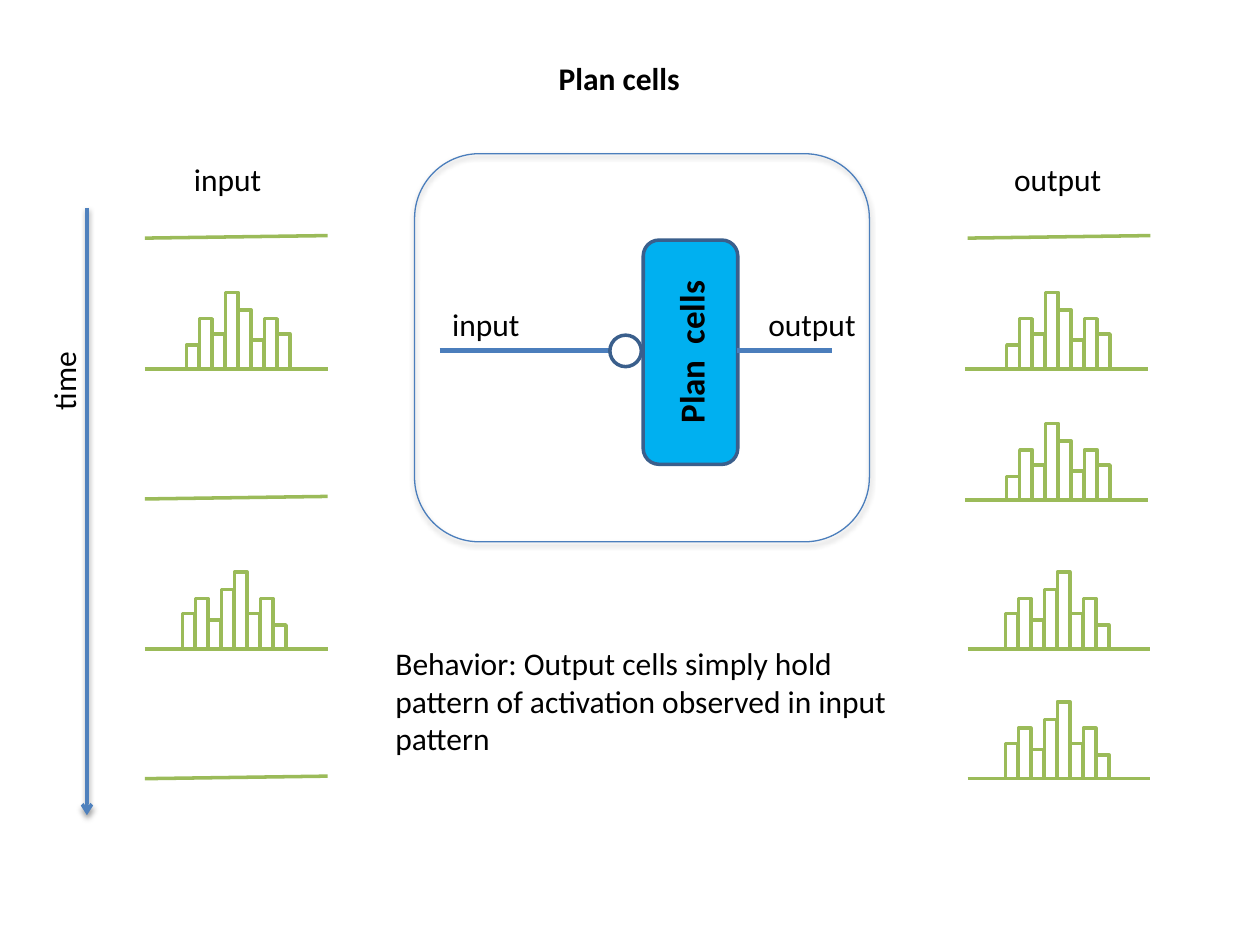
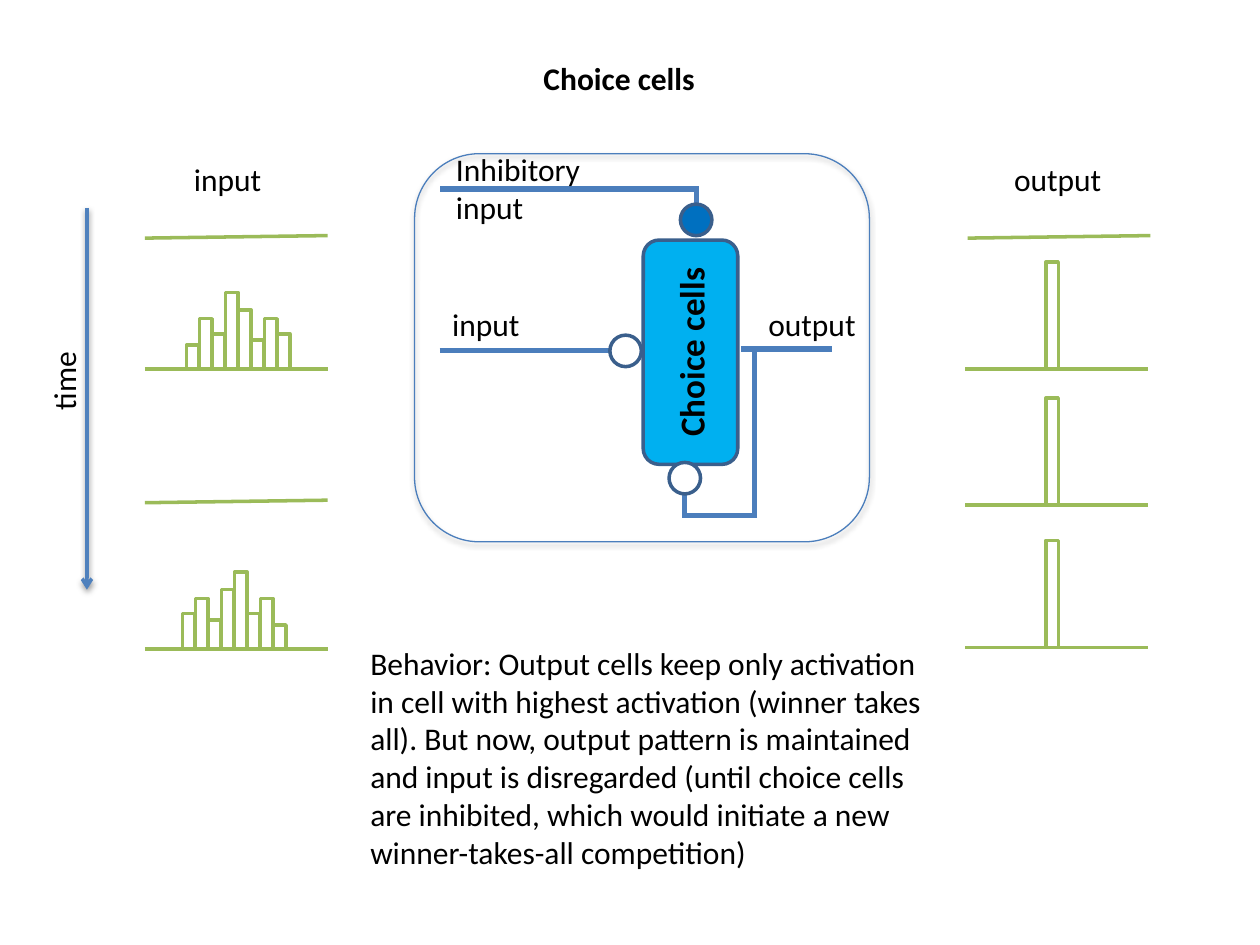
from lxml import etree
from pptx import Presentation
from pptx.dml.color import RGBColor
from pptx.enum.shapes import MSO_CONNECTOR, MSO_SHAPE
from pptx.enum.text import MSO_ANCHOR, MSO_AUTO_SIZE, PP_ALIGN
from pptx.oxml.ns import qn
from pptx.util import Inches, Pt

STRAIGHT = MSO_CONNECTOR.STRAIGHT
RECT, ROUND, OVAL = MSO_SHAPE.RECTANGLE, MSO_SHAPE.ROUNDED_RECTANGLE, MSO_SHAPE.OVAL
MIDDLE, CENTER = MSO_ANCHOR.MIDDLE, PP_ALIGN.CENTER
GROW = MSO_AUTO_SIZE.SHAPE_TO_FIT_TEXT

BLACK, WHITE, GREEN = "000000", "FFFFFF", "9BBB59"
WIRE, EDGE, AXIS = "4B7EBC", "3A5F8C", "4F81BD"
CELL, BLOCK = "00B0F0", "0070C0"

LABEL = {"name": "Calibri", "size": Pt(18), "bold": False}
TITLE = {**LABEL, "bold": True}
NAME = {**TITLE, "size": Pt(20)}

SPAN = 1.45            # length of a base line
STEP, BAR = 0.103, 0.1  # pitch and width of the bars
RISE = [0.19, 0.4, 0.28, 0.61, 0.47, 0.23, 0.4, 0.28]
FALL = RISE[::-1]
PEAK = [0.85]
LEFT, RIGHT, FAR = 1.15, 7.66, 7.68
WIRE_Y = 2.78


def rgb(code):
    return RGBColor.from_string(code)


def box(*sizes):
    return [Inches(size) for size in sizes]


def style(item, values):
    for key, value in values.items():
        setattr(item, key, value)


def shade(item, cast=None):
    """Replace the theme shadow by none, or by one of (blur, distance, alpha %)."""
    effects = etree.SubElement(item._element.spPr, qn("a:effectLst"))
    if cast:
        blur, dist, alpha = cast
        outer = etree.SubElement(effects, qn("a:outerShdw"), blurRad=str(Pt(blur)),
                                 dist=str(Pt(dist)), dir="5400000", rotWithShape="0")
        color = etree.SubElement(outer, qn("a:srgbClr"), val=BLACK)
        etree.SubElement(color, qn("a:alpha"), val=str(alpha * 1000))


def add_form(shapes, kind, place, fill, edge, width=2, cast=None):
    form = shapes.add_shape(kind, *box(*place))
    if fill:
        form.fill.solid()
        form.fill.fore_color.rgb = rgb(fill)
    else:
        form.fill.background()
    form.line.color.rgb = rgb(edge)
    form.line.width = Pt(width)
    shade(form, cast)
    return form


def add_line(shapes, start, end, color, width, cast=None):
    line = shapes.add_connector(STRAIGHT, *box(*start, *end))
    line.line.color.rgb = rgb(color)
    line.line.width = Pt(width)
    shade(line, cast)
    return line


def add_wire(slide, start, end):
    return add_line(slide.shapes, start, end, WIRE, 3)


def write(frame, text, look, align=None):
    para = frame.paragraphs[0]
    para.alignment = align
    run = para.add_run()
    run.text = text
    style(run.font, look)
    run.font.color.rgb = rgb(BLACK)


def add_label(slide, text, place, wrap=False, turn=0):
    label = slide.shapes.add_textbox(*box(*place))
    label.rotation = turn
    style(label.text_frame, {"word_wrap": wrap, "auto_size": GROW})
    write(label.text_frame, text, LABEL)


def add_bars(slide, left, base, bars, inset):
    """Draw a pattern of activation as bars on a base line."""
    shapes = slide.shapes.add_group_shape().shapes
    for i, high in enumerate(bars):
        place = (left + inset + i * STEP, base - high, BAR, high)
        add_form(shapes, RECT, place, WHITE, GREEN)
    add_line(shapes, (left, base), (left + SPAN, base), GREEN, 2)


def add_rest(slide, left, base):
    """Draw the nearly flat line of a cell at rest."""
    add_line(slide.shapes, (left, base), (left + SPAN, base - 0.02), GREEN, 2)


def add_knob(slide, left, top, fill=WHITE):
    add_form(slide.shapes, OVAL, (left, top, 0.25, 0.25), fill, EDGE)


def add_panel(slide):
    add_form(slide.shapes, ROUND, (3.29, 1.22, 3.61, 3.08), None, WIRE, 0.75, (3.1, 1.8, 35))


def add_cell(slide, text):
    cell = add_form(slide.shapes, ROUND, (4.59, 2.42, 1.78, 0.75), CELL, EDGE)
    cell.rotation = 270
    cell.text_frame.vertical_anchor = MIDDLE
    write(cell.text_frame, text, NAME, CENTER)
    return cell


def add_time(slide, end):
    axis = add_line(slide.shapes, (0.69, 1.65), (0.69, end), AXIS, 2, (3.1, 1.6, 38))
    etree.SubElement(axis.line._get_or_add_ln(), qn("a:tailEnd"), type="arrow")
    add_label(slide, "time", (0.17, 2.82, 0.67, 0.4), turn=270)


def add_title(slide, text):
    title = slide.shapes.title
    style(title, dict(zip(("left", "top", "width", "height"), box(3.21, 0.42, 3.41, 0.4))))
    title.text_frame.vertical_anchor = MIDDLE
    write(title.text_frame, text, TITLE, CENTER)


def add_base(deck, title, end):
    """Start a slide with the title, labels, time axis and patterns both share."""
    slide = deck.slides.add_slide(deck.slide_layouts[5])
    add_title(slide, title)
    add_time(slide, end)
    for left, top in ((1.44, 1.22), (3.49, 2.37)):
        add_label(slide, "input", (left, top, 0.75, 0.4))
    for left, top in ((7.95, 1.22), (6, 2.37)):
        add_label(slide, "output", (left, top, 0.9, 0.4))
    for left in (LEFT, FAR):
        add_rest(slide, left, 1.89)
    add_bars(slide, LEFT, 2.93, RISE, 0.33)
    add_bars(slide, LEFT, 5.15, FALL, 0.3)
    add_wire(slide, (3.49, WIRE_Y), (4.84, WIRE_Y))
    return slide


def add_plan(deck):
    slide = add_base(deck, "Plan cells", 6.47)
    add_panel(slide)
    cell = add_cell(slide, "Plan  cells")
    out = add_wire(slide, (5.85, WIRE_Y), (6.6, WIRE_Y))
    # Site 2 of the turned cell faces right, so the start is set again.
    out.begin_connect(cell, 2)
    style(out, dict(zip(("begin_x", "begin_y"), box(5.85, WIRE_Y))))
    add_knob(slide, 4.84, 2.66)
    for base in (3.96, 6.18):
        add_rest(slide, LEFT, base)
    for base in (2.93, 3.97):
        add_bars(slide, RIGHT, base, RISE, 0.33)
    for base in (5.15, 6.18):
        add_bars(slide, FAR, base, FALL, 0.3)
    add_label(slide, "Behavior: Output cells simply hold pattern of activation "
              "observed in input pattern", (3.04, 5.06, 4.31, 1.01), wrap=True)


def add_choice(deck):
    slide = add_base(deck, "Choice cells", 4.68)
    add_cell(slide, "Choice cells")
    wires = [
        ((5.88, 2.77), (6.6, 2.77)),
        ((5.99, 2.78), (5.99, 4.11)),
        ((6.01, 4.09), (5.43, 4.09)),
        ((5.43, 3.91), (5.43, 4.11)),
        ((5.53, 1.5), (3.49, 1.5)),
        ((5.53, 1.48), (5.53, 1.61)),
    ]
    for start, end in wires:
        add_wire(slide, start, end)
    add_knob(slide, 4.84, 2.66)
    add_knob(slide, 5.31, 3.67)
    add_knob(slide, 5.4, 1.62, BLOCK)
    add_rest(slide, LEFT, 3.99)
    for base in (2.93, 4.01, 5.14):
        add_bars(slide, RIGHT, base, PEAK, 0.64)
    add_label(slide, "Inhibitory input", (3.52, 1.14, 1.35, 0.71), wrap=True)
    add_label(slide, "Behavior: Output cells keep only activation in cell with highest "
              "activation (winner takes all). But now, output pattern is maintained and "
              "input is disregarded (until choice cells are inhibited, which would "
              "initiate a new winner-takes-all competition)",
              (2.84, 5.06, 4.72, 1.92), wrap=True)
    add_panel(slide)


def main():
    deck = Presentation()
    deck.slide_width, deck.slide_height = box(10, 7.5)
    add_plan(deck)
    add_choice(deck)
    deck.save("out.pptx")


if __name__ == "__main__":
    main()
